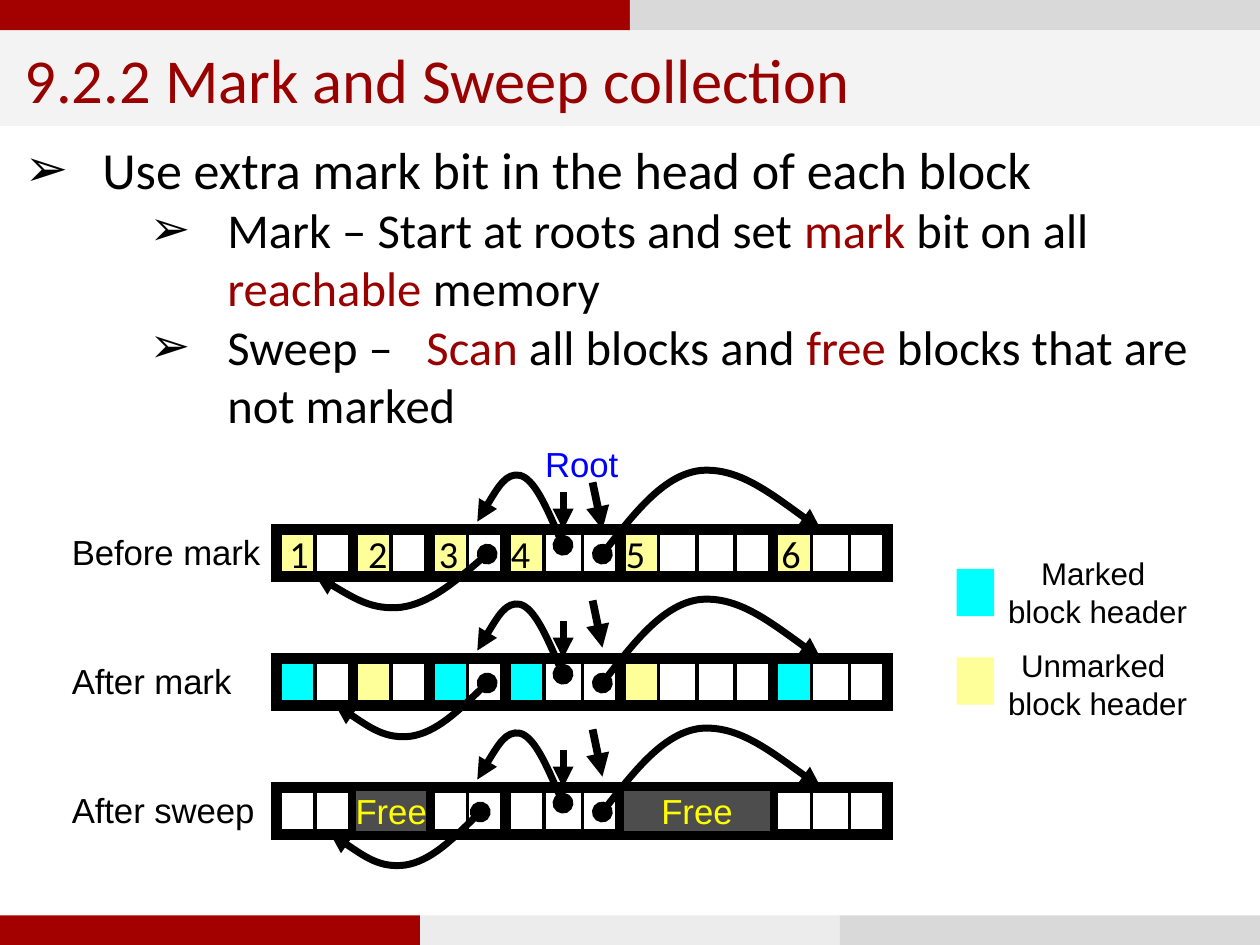
from itertools import accumulate

from lxml.etree import SubElement
from pptx import Presentation
from pptx.dml.color import RGBColor
from pptx.enum.shapes import MSO_CONNECTOR, MSO_SHAPE
from pptx.enum.text import MSO_ANCHOR, PP_ALIGN
from pptx.oxml.ns import qn
from pptx.util import Cm, Pt

COLORS = {
    "red": "A30000", "accent": "990000", "gray": "D9D9D9", "pale": "ECECEC",
    "band": "F3F3F3", "white": "FFFFFF", "black": "000000", "blue": "0000FF",
    "marked": "00FFFF", "unmarked": "FFFF99", "freed": "4D4D4D", "yellow": "FFFF00",
}


def rgb(name):
    return RGBColor.from_string(COLORS[name])


def write(sp, paragraphs, size=10, font="Arial", color="black", align=PP_ALIGN.LEFT,
          anchor=MSO_ANCHOR.TOP, wrap=True, indents=(), tabs=()):
    """Each paragraph is a list of runs: (text, color, extra letter spacing in pt)."""
    tf = sp.text_frame
    tf.word_wrap = wrap
    tf.vertical_anchor = anchor
    for i, runs in enumerate(paragraphs):
        p = tf.paragraphs[0] if i == 0 else tf.add_paragraph()
        p.alignment = align
        pPr = p._p.get_or_add_pPr()
        if indents:
            p.level = min(i, 1)
            pPr.set("marL", str(Cm(indents[i])))
            pPr.set("indent", str(Cm(-0.79)))
            SubElement(pPr, qn("a:buFont"), typeface="Arial")
            SubElement(pPr, qn("a:buChar"), char="➢")
        if tabs:
            tab_list = SubElement(pPr, qn("a:tabLst"))
            for tab in tabs:
                SubElement(tab_list, qn("a:tab"), pos=str(Cm(tab)), algn="l")
        for text, run_color, spacing in runs:
            r = p.add_run()
            r.text = text
            r.font.size = Pt(size[i] if indents else size)
            r.font.name = font
            r.font.color.rgb = rgb(run_color or color)
            if spacing:
                r._r.get_or_add_rPr().set("spc", str(int(spacing * 100)))


def plain(*lines):
    return [[(line, None, 0)] for line in lines]


class Deck:
    def __init__(self, width, height):
        self.prs = Presentation()
        self.prs.slide_width, self.prs.slide_height = Cm(width), Cm(height)
        self.s = self.prs.slides.add_slide(self.prs.slide_layouts[6])

    def rect(self, x, y, w, h, fill=None, line=0):
        sp = self.s.shapes.add_shape(MSO_SHAPE.RECTANGLE, Cm(x), Cm(y), Cm(w), Cm(h))
        sp.shadow.inherit = False
        if fill:
            sp.fill.solid()
            sp.fill.fore_color.rgb = rgb(fill)
        else:
            sp.fill.background()
        if line:
            self.stroke(sp, line)
        else:
            sp.line.fill.background()
        return sp

    def text(self, x, y, w, h, paragraphs, **style):
        sp = self.s.shapes.add_textbox(Cm(x), Cm(y), Cm(w), Cm(h))
        write(sp, paragraphs, **style)

    def stroke(self, sp, width, head=None, tail=None):
        sp.line.color.rgb = rgb("black")
        sp.line.width = Pt(width)
        ln = sp.line._get_or_add_ln()
        SubElement(ln, qn("a:miter"), lim="800000")
        for tag, kind in (("a:headEnd", head), ("a:tailEnd", tail)):
            if kind:
                SubElement(ln, qn(tag), type=kind)

    def line(self, x1, y1, x2, y2, width, tail=None):
        c = self.s.shapes.add_connector(MSO_CONNECTOR.STRAIGHT, Cm(x1), Cm(y1), Cm(x2), Cm(y2))
        self.stroke(c, width, tail=tail)
        SubElement(c._element.spPr, qn("a:effectLst"))
        return c

    def curve(self, points):
        """Pointer through two joined cubic Bezier pieces (seven points)."""
        points = [(Cm(x), Cm(y)) for x, y in points]
        builder = self.s.shapes.build_freeform(*points[0], scale=1.0)
        builder.add_line_segments(points[1:], close=False)
        sp = builder.convert_to_shape()
        # Turn each three straight segments into one Bezier piece
        outline = next(sp._element.iter(qn("a:path")))
        segments = outline.findall(qn("a:lnTo"))
        for piece in (segments[:3], segments[3:]):
            bezier = SubElement(outline, qn("a:cubicBezTo"))
            for segment in piece:
                bezier.append(segment[0])
                outline.remove(segment)
        sp.shadow.inherit = False
        sp.fill.background()
        self.stroke(sp, 2, head="oval", tail="triangle")


def evenly(start, end):
    return [start + (end - start) * k / 6 for k in range(7)]


# Heap layout: block sizes in cells
SIZES = (2, 2, 2, 3, 4, 3)
STARTS = (0, *accumulate(SIZES))
HEAP_X, HEAP_Y, PITCH, CELL, CELL_H = 2.81, 5.38, 1.31, 6.21 / 16, 0.48

# Pointer heights relative to the top of a heap row
BACK_DY = (0.25, 0.5, 0.75, 0.79, 0.82, 0.64, 0.46)
NEAR_DY = (0.16, -0.18, -0.51, -0.55, -0.58, -0.33, -0.08)
FAR_DY = (0.25, -0.15, -0.56, -0.6, -0.63, -0.3, 0)
FAR_X = (6.12, 6.43, 6.76, 7.12, 7.5, 7.92, 8.34)

# Label, header colors (u unmarked, m marked), freed blocks, back pointer, root arrow tip
ROWS = (
    ("Before mark", "uuuuuu", (), (4.95, 3.2), 0),
    ("After mark", "mummum", (), (4.95, 3.4), -0.11),
    ("After sweep", "", (1, 4), (4.88, 3.35), -0.11),
)


def heap_row(d, y, label, headers, freed, back, tip):
    d.text(0.48, y - 0.11, 2.46, 0.69, plain(label), wrap=False)
    xs = [HEAP_X + start * CELL for start in STARTS]
    for x, mark in zip(xs, headers):
        d.rect(x, y, CELL, CELL_H, "marked" if mark == "m" else "unmarked")

    # Pointers between blocks
    for px, dy in ((evenly(*back), BACK_DY), (evenly(5.72, 4.85), NEAR_DY), (FAR_X, FAR_DY)):
        d.curve([(x, y + rise) for x, rise in zip(px, dy)])

    # Block frames and cell dividers
    blocks = [d.rect(x, y, size * CELL, CELL_H, line=3) for x, size in zip(xs, SIZES)]
    for i, (x, size) in enumerate(zip(xs, SIZES)):
        for k in range(1, size):
            d.line(x + k * CELL, y, x + k * CELL, y + CELL_H, 2 if i in freed else 1)
    for i in freed:
        sp = d.rect(xs[i], y, SIZES[i] * CELL, CELL_H, "freed", 2)
        write(sp, plain("Free"), color="yellow", align=PP_ALIGN.CENTER,
              anchor=MSO_ANCHOR.MIDDLE, wrap=False)

    # Root arrows
    root = d.line(5.72, y - 0.38, 5.72, y, 2, "triangle")
    root.end_connect(blocks[3], 0)
    d.line(6.02, y + tip - 0.48, 6.12, y + tip, 2.25, "triangle")


def main():
    d = Deck(12.8, 9.6)

    # Bullets
    body = d.rect(0, 1.27, 12.8, 8.03, "white")
    write(body, [
        [("Use extra mark bit in the head of each block", None, 0)],
        [("Mark – Start at roots and set ", None, 0), ("mark", "accent", 0),
         (" bit on all ", None, 0), ("reachable", "accent", 0), (" memory", None, 0)],
        [("Sweep –", None, 0), (" ", None, 6.4), ("Scan", "accent", 0),
         (" all blocks and ", None, 0), ("free", "accent", 0),
         (" blocks that are not marked", None, 0)],
    ], size=(15, 14, 14), font="Calibri", indents=(0.79, 2.06, 2.06))

    # Title and bars
    d.rect(0, 0, 6.4, 0.31, "red")
    d.rect(6.4, 0, 6.4, 0.31, "gray")
    title = d.rect(0, 0.31, 12.8, 0.97, "band")
    write(title, plain("9.2.2 Mark and Sweep collection"), size=18, font="Calibri",
          color="accent", anchor=MSO_ANCHOR.MIDDLE)
    for i, fill in enumerate(("red", "pale", "gray")):
        d.rect(i * 12.8 / 3, 9.3, 12.8 / 3, 0.3, fill)

    # Heap diagram
    d.text(5.29, 4.37, 1.27, 0.69, plain("Root"), color="blue", wrap=False)
    for i, row in enumerate(ROWS):
        heap_row(d, HEAP_Y + i * PITCH, *row)
    d.text(2.69, 5.26, 5.82, 0.74, plain("1\t2\t3\t4\t5\t6"), size=11, font="Calibri",
           tabs=(0.8, 1.52, 2.25, 3.42, 5))

    # Legend
    for y, text_y, name in ((5.78, 5.51, "marked"), (6.68, 6.44, "unmarked")):
        d.rect(9.72, y, 0.38, CELL_H, name)
        d.text(9.97, text_y, 2.36, 1.04, plain(name.capitalize() + " ", "block header"),
               size=9, align=PP_ALIGN.CENTER)

    d.prs.save("out.pptx")


if __name__ == "__main__":
    main()
